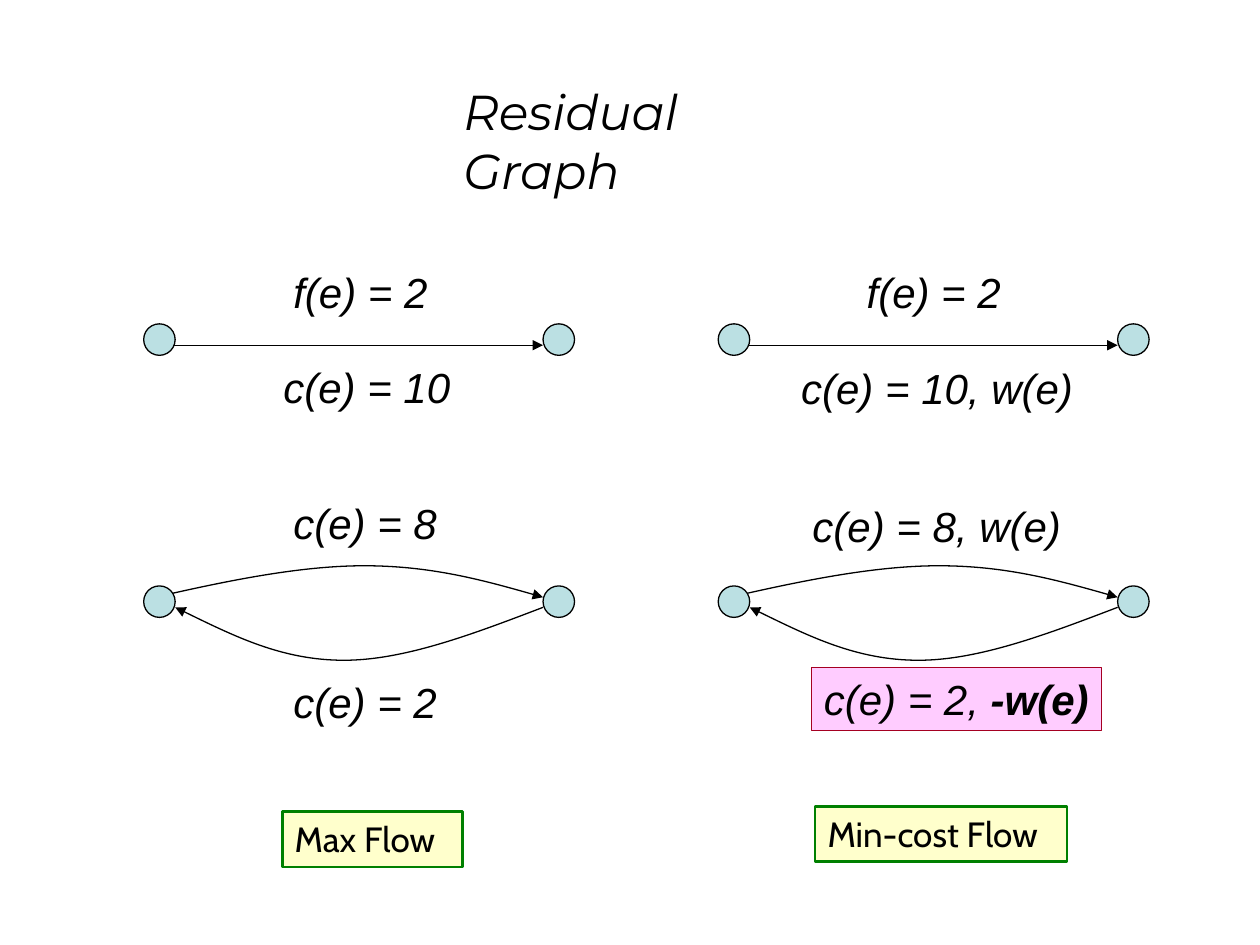
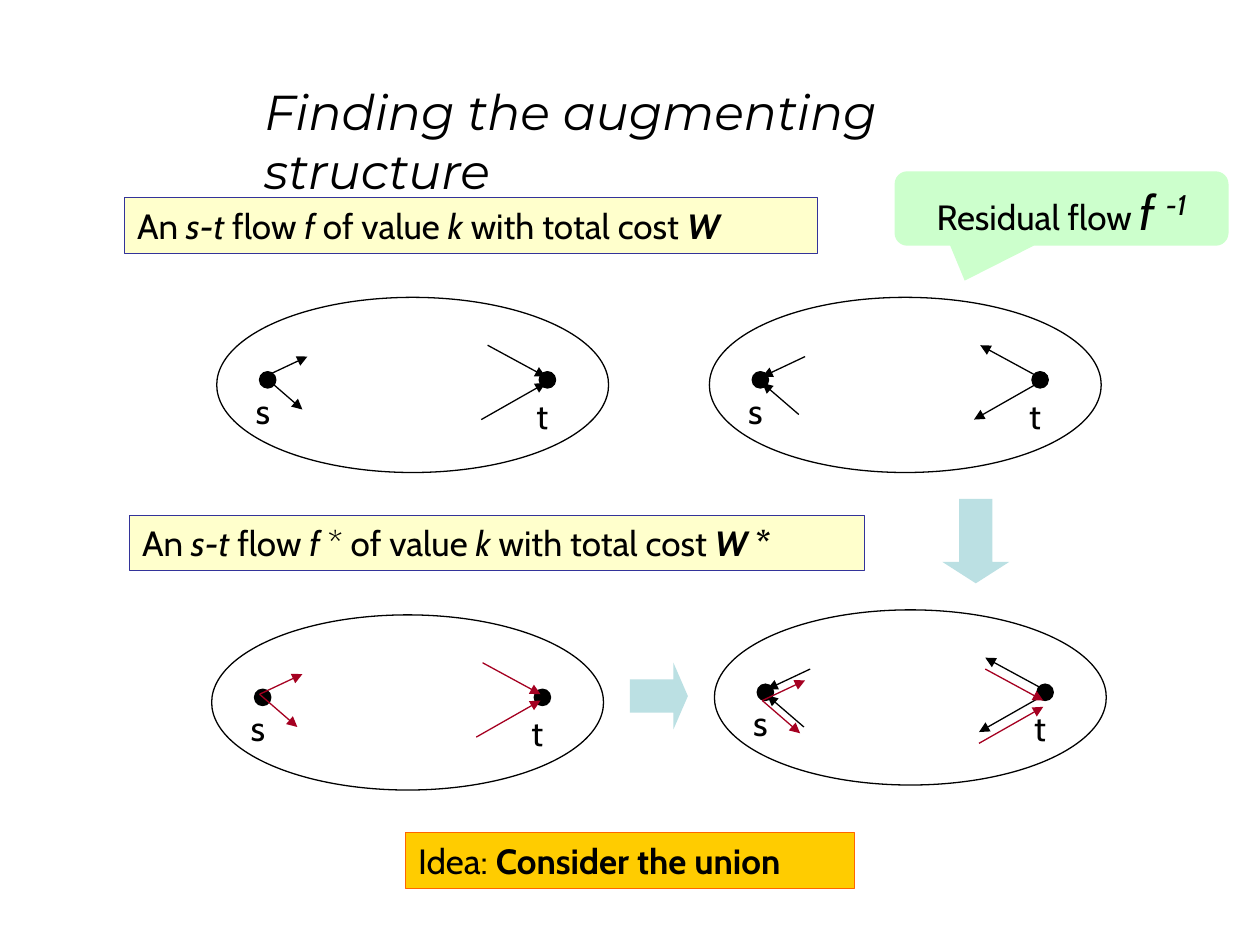
from lxml.etree import SubElement
from pptx import Presentation
from pptx.dml.color import RGBColor
from pptx.enum.shapes import MSO_CONNECTOR, MSO_SHAPE
from pptx.enum.text import MSO_ANCHOR, PP_ALIGN
from pptx.oxml.ns import qn
from pptx.util import Inches, Pt

BLACK = RGBColor(0x00, 0x00, 0x00)
TEAL = RGBColor(0xBB, 0xE0, 0xE3)
CRIMSON = RGBColor(0xA5, 0x00, 0x21)
PINK = RGBColor(0xFF, 0xCC, 0xFF)
CREAM = RGBColor(0xFF, 0xFF, 0xCC)
GREEN = RGBColor(0x00, 0x80, 0x00)
MINT = RGBColor(0xCC, 0xFF, 0xCC)
INDIGO = RGBColor(0x33, 0x33, 0x99)
GOLD = RGBColor(0xFF, 0xCC, 0x00)
ORANGE = RGBColor(0xFF, 0x66, 0x00)

TITLE = ("Montserrat", 28)
MATH = ("Arial", 24)
BODY = ("Cabin", 20)


def add_box(sl, box, runs=(), font=BODY, kind=None, fill=None, line=None,
            weight=0.75, align=PP_ALIGN.LEFT):
    """Add a shape, or a text box without kind; a run is (text, flags[, size]).

    Flags: b bold, i italic, ^ superscript.
    """
    lengths = [Inches(v) for v in box]
    if kind is None:
        s = sl.shapes.add_textbox(*lengths)
    else:
        s = sl.shapes.add_shape(kind, *lengths)
        s.shadow.inherit = False
        if fill is None:
            s.fill.background()
        else:
            s.fill.solid()
            s.fill.fore_color.rgb = fill
        if line is None:
            s.line.fill.background()
        else:
            s.line.color.rgb = line
            s.line.width = Pt(weight)
    if runs:
        tf = s.text_frame
        tf.word_wrap = True
        tf.vertical_anchor = MSO_ANCHOR.TOP
        tf.margin_right = 0
        p = tf.paragraphs[0]
        p.alignment = align
        name, base_size = font
        for text, flags, *size in runs:
            r = p.add_run()
            r.text = text
            r.font.name = name
            r.font.size = Pt(size[0] if size else base_size)
            r.font.color.rgb = BLACK
            r.font.bold = "b" in flags
            r.font.italic = "i" in flags
            if "^" in flags:
                r._r.get_or_add_rPr().set("baseline", "30000")
    return s


def add_arrow(sl, points, color=BLACK):
    """Draw a straight arrow through two points, or a Bezier arrow through more."""
    pts = [(Inches(x), Inches(y)) for x, y in points]
    if len(pts) == 2:
        s = sl.shapes.add_connector(MSO_CONNECTOR.STRAIGHT, *pts[0], *pts[1])
    else:
        fb = sl.shapes.build_freeform(*pts[0])
        fb.add_line_segments(pts[1:], close=False)
        s = fb.convert_to_shape()
        s.fill.background()
        outline = s._element.find(".//" + qn("a:path"))
        steps = outline.findall(qn("a:lnTo"))
        for i in range(0, len(steps), 3):
            bezier = SubElement(outline, qn("a:cubicBezTo"))
            for step in steps[i:i + 3]:
                bezier.append(step[0])
                outline.remove(step)
    s.line.color.rgb = color
    s.line.width = Pt(0.75)
    SubElement(s.line._get_or_add_ln(), qn("a:tailEnd"), type="triangle")
    SubElement(s._element.spPr, qn("a:effectLst"))


prs = Presentation()
prs.slide_width, prs.slide_height = Inches(10), Inches(7.5)
blank = prs.slide_layouts[6]

# Slide 1: residual graph, one column per problem
sl = prs.slides.add_slide(blank)
add_box(sl, (3.58, 0.6, 2.84, 0.57), [("Residual Graph", "i")], TITLE)

NODE = 0.25
SPAN = 3.17
FORWARD_CURVE = [(0.09, 4.74), (0.66, 4.61), (1.24, 4.49), (1.75, 4.49),
                 (2.27, 4.49), (2.72, 4.61), (3.17, 4.74)]
BACKWARD_CURVE = [(3.17, 4.82), (2.62, 5.03), (2.07, 5.24), (1.59, 5.24),
                  (1.1, 5.24), (0.68, 5.03), (0.25, 4.82)]
EDGE = [(0.17, 2.74), (SPAN, 2.74)]
for left in (1.14, 5.7):
    for route in (EDGE, FORWARD_CURVE, BACKWARD_CURVE):
        add_arrow(sl, [(left + x, y) for x, y in route])
    for x in (left, left + SPAN):
        for y in (2.57, 4.65):
            add_box(sl, (x, y, NODE, NODE), kind=MSO_SHAPE.OVAL, fill=TEAL, line=BLACK)

for x, y, w, text in [
    (2.23, 2.07, 1.26, "f(e) = 2"),
    (2.15, 2.82, 1.52, "c(e) = 10"),
    (2.23, 3.9, 1.34, "c(e) = 8"),
    (2.23, 5.32, 1.34, "c(e) = 2"),
    (6.78, 2.07, 1.26, "f(e) = 2"),
    (6.26, 2.83, 2.36, "c(e) = 10, w(e)"),
    (6.35, 3.92, 2.17, "c(e) = 8, w(e)"),
]:
    add_box(sl, (x, y, w, 0.5), [(text, "i")], MATH)
add_box(sl, (6.44, 5.3, 2.3, 0.5), [("c(e) = 2, ", "i"), ("-w(e)", "bi")], MATH,
        MSO_SHAPE.RECTANGLE, PINK, CRIMSON)
for x, y, w, text in [(2.24, 6.44, 1.43, "Max Flow"), (6.47, 6.4, 2, "Min-cost Flow")]:
    add_box(sl, (x, y, w, 0.44), [(text, "")], BODY, MSO_SHAPE.RECTANGLE, CREAM, GREEN, 1.5)

# Slide 2: two flows and their union
sl = prs.slides.add_slide(blank)
add_box(sl, (2, 0.6, 5.99, 0.57), [("Finding the augmenting structure", "i")], TITLE)

for box, after_f, cost in [
    ((0.99, 1.57, 5.5, 0.44), " of value ", [("W", "bi")]),
    ((1.03, 4.09, 5.83, 0.44), " * of value ", [("W ", "bi"), ("*", "b")]),
]:
    runs = [("An ", ""), ("s-t", "i"), (" flow ", ""), ("f", "i"), (after_f, ""),
            ("k", "i"), (" with total cost ", "")] + cost
    add_box(sl, box, runs, BODY, MSO_SHAPE.RECTANGLE, CREAM, INDIGO)
add_box(sl, (3.22, 6.61, 3.56, 0.44), [("Idea: ", ""), ("Consider the union", "b")],
        BODY, MSO_SHAPE.RECTANGLE, GOLD, ORANGE)

# Arrows relative to the top left corner of a network oval
AT_T = [((2.15, 0.38), (2.61, 0.63)), ((2.1, 0.97), (2.61, 0.68))]
FLOW = [((0.38, 0.63), (0.72, 0.47)), ((0.38, 0.63), (0.68, 0.89))] + AT_T
RESIDUAL = [((0.76, 0.47), (0.42, 0.63)), ((0.71, 0.93), (0.42, 0.68))]
RESIDUAL += [(end, start) for start, end in AT_T]

for left, top, arrow_sets in [
    (1.72, 2.36, [(FLOW, 0, BLACK)]),
    (5.63, 2.36, [(RESIDUAL, 0, BLACK)]),
    (1.68, 4.88, [(FLOW, 0, CRIMSON)]),
    (5.67, 4.84, [(RESIDUAL, 0, BLACK), (FLOW, 0.09, CRIMSON)]),
]:
    add_box(sl, (left, top, 3.11, 1.39), kind=MSO_SHAPE.OVAL, line=BLACK)
    for x in (0.34, 2.56):
        add_box(sl, (left + x, top + 0.59, 0.13, 0.13), kind=MSO_SHAPE.OVAL,
                fill=BLACK, line=BLACK)
    for arrows, drop, color in arrow_sets:
        for arrow in arrows:
            add_arrow(sl, [(left + x, top + y + drop) for x, y in arrow], color)
    for name, x, y, w in [("s", 0.21, 0.68, 0.33), ("t", 2.44, 0.72, 0.3)]:
        add_box(sl, (left + x, top + y, w, 0.44), [(name, "")])

for kind, box, head in [
    (MSO_SHAPE.DOWN_ARROW, (7.48, 3.96, 0.53, 0.67), 0.32),
    (MSO_SHAPE.RIGHT_ARROW, (5, 5.26, 0.46, 0.53), 0.25),
]:
    s = add_box(sl, box, kind=kind, fill=TEAL)
    s.adjustments[0], s.adjustments[1] = 0.5, head

s = add_box(sl, (7.1, 1.36, 2.65, 0.59),
            [("Residual flow ", ""), ("f ", "i", 28), ("-1", "i^", 28)], BODY,
            MSO_SHAPE.ROUNDED_RECTANGULAR_CALLOUT, MINT, align=PP_ALIGN.CENTER)
s.text_frame.margin_right = Inches(0.1)
for i, value in enumerate((-0.29, 0.97, 0.17)):
    s.adjustments[i] = value

prs.save("out.pptx")
